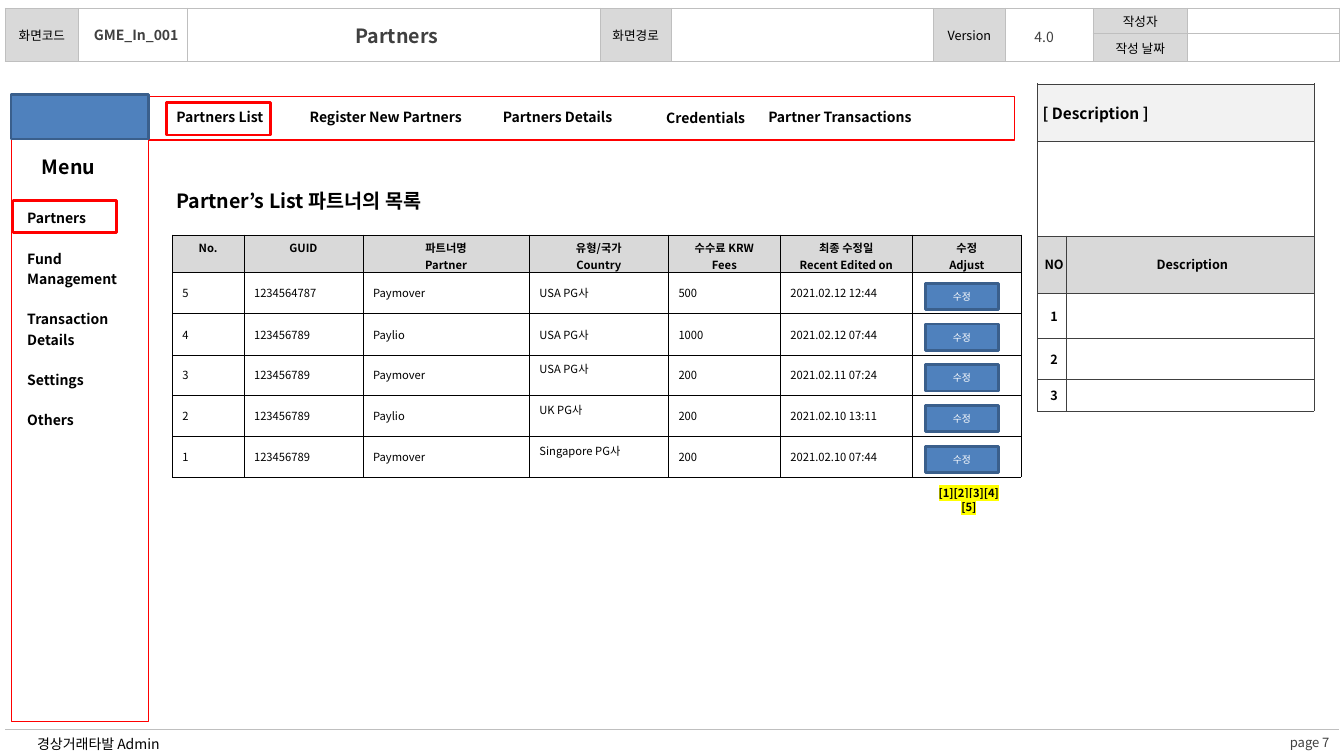
"""Build the partner list screen of an admin storyboard."""
from pptx import Presentation
from pptx.dml.color import RGBColor
from pptx.enum.shapes import MSO_SHAPE
from pptx.enum.text import MSO_ANCHOR, PP_ALIGN
from pptx.oxml import parse_xml
from pptx.oxml.ns import nsdecls, qn
from pptx.util import Inches, Pt

RECTANGLE = MSO_SHAPE.RECTANGLE
TOP, MIDDLE = MSO_ANCHOR.TOP, MSO_ANCHOR.MIDDLE
LEFT, CENTER = PP_ALIGN.LEFT, PP_ALIGN.CENTER

BLACK = RGBColor(0x00, 0x00, 0x00)
WHITE = RGBColor(0xFF, 0xFF, 0xFF)
DARK = RGBColor(0x40, 0x40, 0x40)
SILVER = RGBColor(0xBF, 0xBF, 0xBF)
GRAY = RGBColor(0xD9, 0xD9, 0xD9)
PALE = RGBColor(0xF2, 0xF2, 0xF2)
RED = RGBColor(0xFF, 0x00, 0x00)
BLUE = RGBColor(0x4F, 0x81, 0xBD)
NAVY = RGBColor(0x3A, 0x5F, 0x8C)
YELLOW = RGBColor(0xFF, 0xFF, 0x00)

FONT = "Noto Sans CJK KR"
GRID = Inches(0.1)
INSETS = (1, 0.5, 1, 0.5)
LABEL_INSETS = (0, 0.5, 1, 0.5)
TIGHT = (0.1, 0.1, 0.1, 0)
NOTE_INSETS = (0.5, 0, 0, 0)
ALL_SIDES = "LRTB"

HEADER_LABELS = {(0, 0): "화면코드", (0, 3): "화면경로", (0, 5): "Version",
                 (0, 7): "작성자", (1, 7): "작성 날짜"}
PARTNER_HEADINGS = ["No.", "GUID", "파트너명\nPartner", "유형/국가\nCountry",
                    "수수료 KRW\nFees", "최종 수정일\nRecent Edited on", "수정\nAdjust"]
PARTNERS = [
    ["5", "1234564787", "Paymover", "USA PG사", "500", "2021.02.12 12:44", ""],
    ["4", "123456789", "Paylio", "USA PG사", "1000", "2021.02.12 07:44", ""],
    ["3", "123456789", "Paymover", "USA PG사", "200", "2021.02.11 07:24", ""],
    ["2", "123456789", "Paylio", "UK PG사", "200", "2021.02.10 13:11", ""],
    ["1", "123456789", "Paymover", "Singapore PG사", "200", "2021.02.10 07:44", ""],
]
COUNTRY = 3
TABS = ["Partners List", "Register New Partners", "Partners Details", "Partner Transactions"]
MENU = "Partners\nFund Management\nTransaction Details\nSettings\nOthers"


def units(*values):
    """Turn grid units into slide lengths."""
    return [int(GRID * value) for value in values]


def write(frame, text, size, color=BLACK, bold=False, align=CENTER, gap=0, highlight=None):
    """Write one paragraph for each line of the text."""
    for index, line in enumerate(text.split("\n")):
        para = frame.add_paragraph() if index else frame.paragraphs[0]
        para.alignment = align
        if index and gap:
            para.space_before = Pt(gap)
        span = para.add_run()
        span.text = line
        span.font.size, span.font.bold = Pt(size), bold
        span.font.color.rgb, span.font.name = color, FONT
        properties = span.font._element
        properties.find(qn("a:latin")).addnext(
            parse_xml(f'<a:ea {nsdecls("a")} typeface="{FONT}"/>'))
        if highlight is not None:
            properties.find(qn("a:solidFill")).addnext(parse_xml(
                f'<a:highlight {nsdecls("a")}><a:srgbClr val="{highlight}"/></a:highlight>'))


def add_label(page, place, text, size, insets=INSETS, anchor=TOP, wrap=True, **style):
    """Add a text box."""
    frame = page.shapes.add_textbox(*units(*place)).text_frame
    frame.word_wrap = wrap
    frame.vertical_anchor = anchor
    frame.margin_left, frame.margin_top, frame.margin_right, frame.margin_bottom = units(*insets)
    write(frame, text, size, **style)


def add_box(shapes, place, fill, line, width, text=""):
    """Add a rectangle, with a centred white caption if there is one."""
    box = shapes.add_shape(RECTANGLE, *units(*place))
    box.shadow.inherit = False
    if fill is None:
        box.fill.background()
    else:
        box.fill.solid()
        box.fill.fore_color.rgb = fill
    box.line.color.rgb = line
    box.line.width = Pt(width)
    if text:
        box.text_frame.vertical_anchor = MIDDLE
        write(box.text_frame, text, 7, color=WHITE)


def add_grid(page, left, top, columns, rows):
    """Add an unbanded table with the given column widths and row heights."""
    place = units(left, top, sum(columns), sum(rows))
    table = page.shapes.add_table(len(rows), len(columns), *place).table
    table.first_row = table.horz_banding = False
    for parts, name, lengths in ((table.columns, "width", columns), (table.rows, "height", rows)):
        for part, length in zip(parts, units(*lengths)):
            setattr(part, name, length)
    return table


def fill_cell(cell, text, size, fill=None, border=None, sides=ALL_SIDES,
              insets=INSETS, anchor=MIDDLE, **style):
    """Set the borders, fill, insets and text of a cell."""
    properties = cell._tc.get_or_add_tcPr()
    for side in ALL_SIDES:
        paint = "<a:noFill/>"
        if border is not None and side in sides:
            paint = f'<a:solidFill><a:srgbClr val="{border}"/></a:solidFill>'
        properties.append(parse_xml(
            f'<a:ln{side} {nsdecls("a")} w="{Pt(0.25)}">{paint}</a:ln{side}>'))
    if fill is None:
        cell.fill.background()
    else:
        cell.fill.solid()
        cell.fill.fore_color.rgb = fill
    cell.margin_left, cell.margin_top, cell.margin_right, cell.margin_bottom = units(*insets)
    cell.vertical_anchor = anchor
    if text:
        write(cell.text_frame, text, size, **style)
    else:
        cell.text_frame.paragraphs[0]._p.get_or_add_endParaRPr().set("sz", str(size * 100))


def add_page_header(page):
    """Add the document header and the footer rule."""
    columns = [7.3, 10.8, 40.9, 7.1, 26, 7.1, 8.7, 9.4, 15]
    table = add_grid(page, 0.5, 0.8, columns, [2.5, 2.8, 66.2])
    for row in range(3):
        for column in range(len(columns)):
            text = HEADER_LABELS.get((row, column), "")
            fill_cell(table.cell(row, column), text, 9, GRAY if text else None, SILVER,
                      "TB" if row == 2 else ALL_SIDES, TIGHT)
    for column in range(7):
        table.cell(0, column).merge(table.cell(1, column))
    table.cell(2, 0).merge(table.cell(2, len(columns) - 1))


def add_description(page):
    """Add the description panel on the right."""
    table = add_grid(page, 102.9, 8.3, [2.8, 24.6], [5.7, 9.4, 5.7, 4.5, 4, 3.2])
    lines = [("[ Description ]", ""), ("", ""), ("NO", "Description"),
             ("1", ""), ("2", ""), ("3", "")]
    fills = [PALE, WHITE, GRAY, None, None, None]
    for row, (texts, fill) in enumerate(zip(lines, fills)):
        for column, text in enumerate(texts):
            fill_cell(table.cell(row, column), text, 9 if row else 11, fill, DARK,
                      insets=NOTE_INSETS, bold=True, align=CENTER if row else LEFT)
    for row in range(2):
        table.cell(row, 0).merge(table.cell(row, 1))


def add_partners(page):
    """Add the partner table."""
    table = add_grid(page, 17.1, 23.3, [7.1, 11.8, 16.5, 13.8, 11.1, 13.1, 10.8],
                     [3.7, 4.1, 4.1, 4, 4.1, 4])
    for column, text in enumerate(PARTNER_HEADINGS):
        fill_cell(table.cell(0, column), text, 8, GRAY, BLACK, insets=(0.5, 0.5, 0.5, 0),
                  anchor=TOP, bold=True)
    for row, values in enumerate(PARTNERS, 1):
        for column, text in enumerate(values):
            raised = column == COUNTRY and row > 2
            fill_cell(table.cell(row, column), text, 8, WHITE, BLACK,
                      insets=(1, 0.5, 1, 1.7 if raised else 0.5), align=LEFT)


def add_tabs(page):
    """Add the row of tabs."""
    table = add_grid(page, 14.9, 9.8, [13.8, 19.1, 15, 34.6], [3.6])
    for column, text in enumerate(TABS):
        last = column == len(TABS) - 1
        fill_cell(table.cell(0, column), text, 10, WHITE, bold=True,
                  insets=(13.4, 0.5, 1, 0.5) if last else INSETS, align=LEFT if last else CENTER)


def add_menu(page):
    """Add the side menu entries."""
    table = add_grid(page, 1.7, 17.5, [11.4], [2.6, 24.4])
    fill_cell(table.cell(0, 0), "", 6, WHITE)
    fill_cell(table.cell(1, 0), MENU, 10, WHITE, anchor=TOP, bold=True, align=LEFT, gap=14.5)


def main():
    """Build and save the deck."""
    deck = Presentation()
    deck.slide_width, deck.slide_height = Inches(13.33), Inches(7.5)
    page = deck.slides.add_slide(deck.slide_layouts[6])

    add_label(page, (126.6, 72.3, 6.6, 2.6), "page 7", 9.3, anchor=MIDDLE, wrap=False, color=DARK)
    add_page_header(page)
    add_label(page, (2.7, 72.5, 126.9, 2.5), "경상거래타발 Admin", 10,
              anchor=MIDDLE, wrap=False, align=LEFT)
    add_description(page)
    add_box(page.shapes, (1.1, 9.6, 99.5, 4.3), WHITE, RED, 0.75)
    add_box(page.shapes, (1.1, 9.6, 13.6, 62), WHITE, RED, 0.75)
    add_label(page, (16, 18.3, 27.3, 3.4), "Partner’s List 파트너의 목록", 14, wrap=False, bold=True)
    add_partners(page)
    add_label(page, (91.6, 47.8, 9, 3.8), "[1][2][3][4][5]", 8, bold=True, highlight=YELLOW)
    add_tabs(page)
    buttons = page.shapes.add_group_shape().shapes
    for row in range(len(PARTNERS)):
        add_box(buttons, (91.8, 28.1 + 4.05 * row, 7.2, 2.6), BLUE, NAVY, 2, "수정")
    add_box(page.shapes, (1.1, 9.4, 13.6, 4.4), BLUE, NAVY, 2)
    add_label(page, (7.8, 2.1, 12.4, 2.7), "GME_In_001", 10, LABEL_INSETS, color=DARK, bold=True)
    add_label(page, (100.5, 2.3, 7.1, 2.7), "4.0", 10, LABEL_INSETS, color=DARK)
    add_menu(page)
    for left, top in ((1.3, 19.9), (16.5, 10.2)):
        add_box(page.shapes, (left, top, 10.3, 3.2), None, RED, 2)
    add_label(page, (19.4, 1.9, 40.9, 3.4), "Partners", 14, LABEL_INSETS, color=DARK, bold=True)
    add_label(page, (3.1, 14.9, 7.4, 3.4), "Menu", 14, wrap=False, bold=True)
    add_label(page, (65.1, 10.4, 14, 2.7), "Credentials", 10, bold=True, align=LEFT)
    deck.save("out.pptx")


if __name__ == "__main__":
    main()
